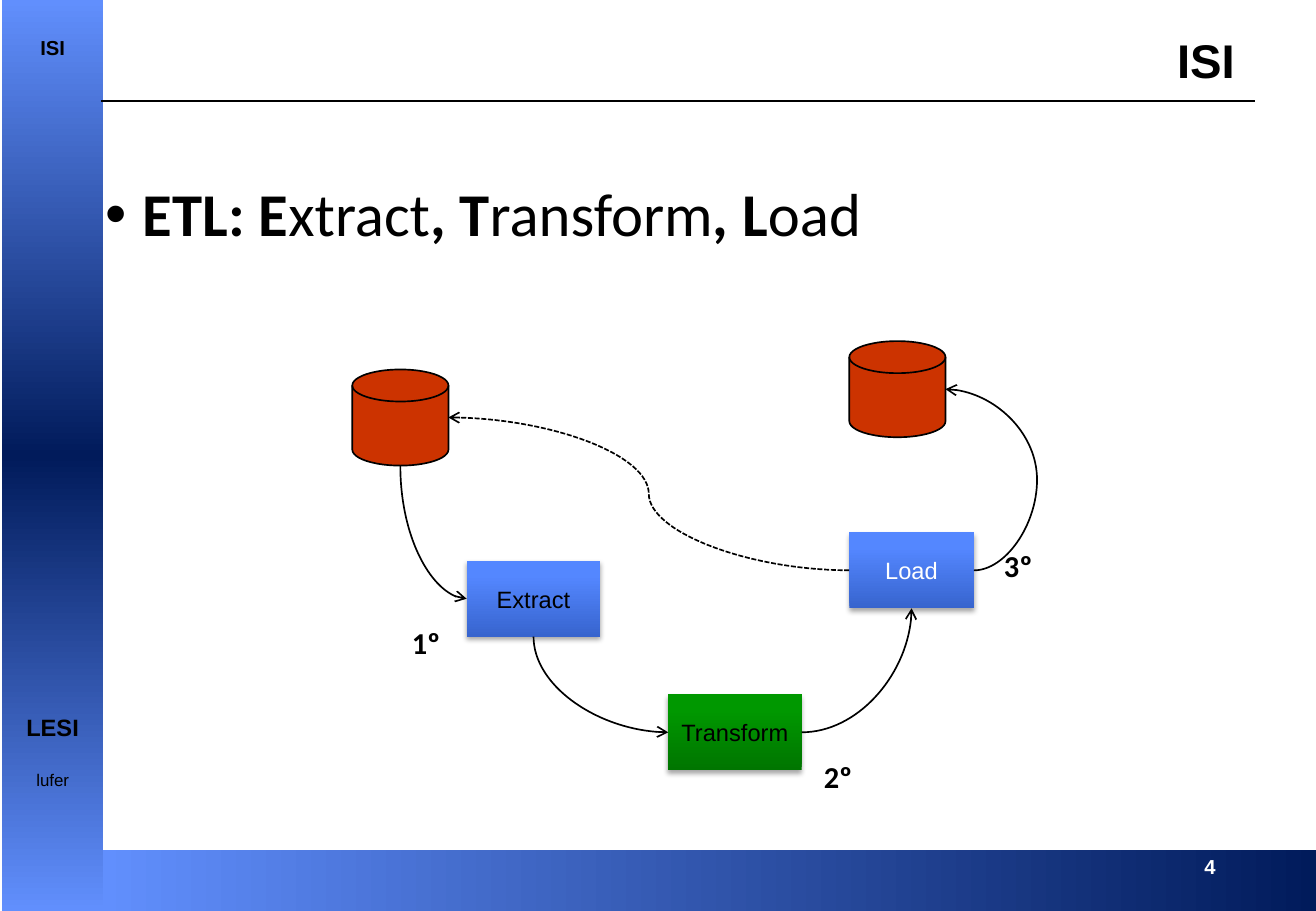
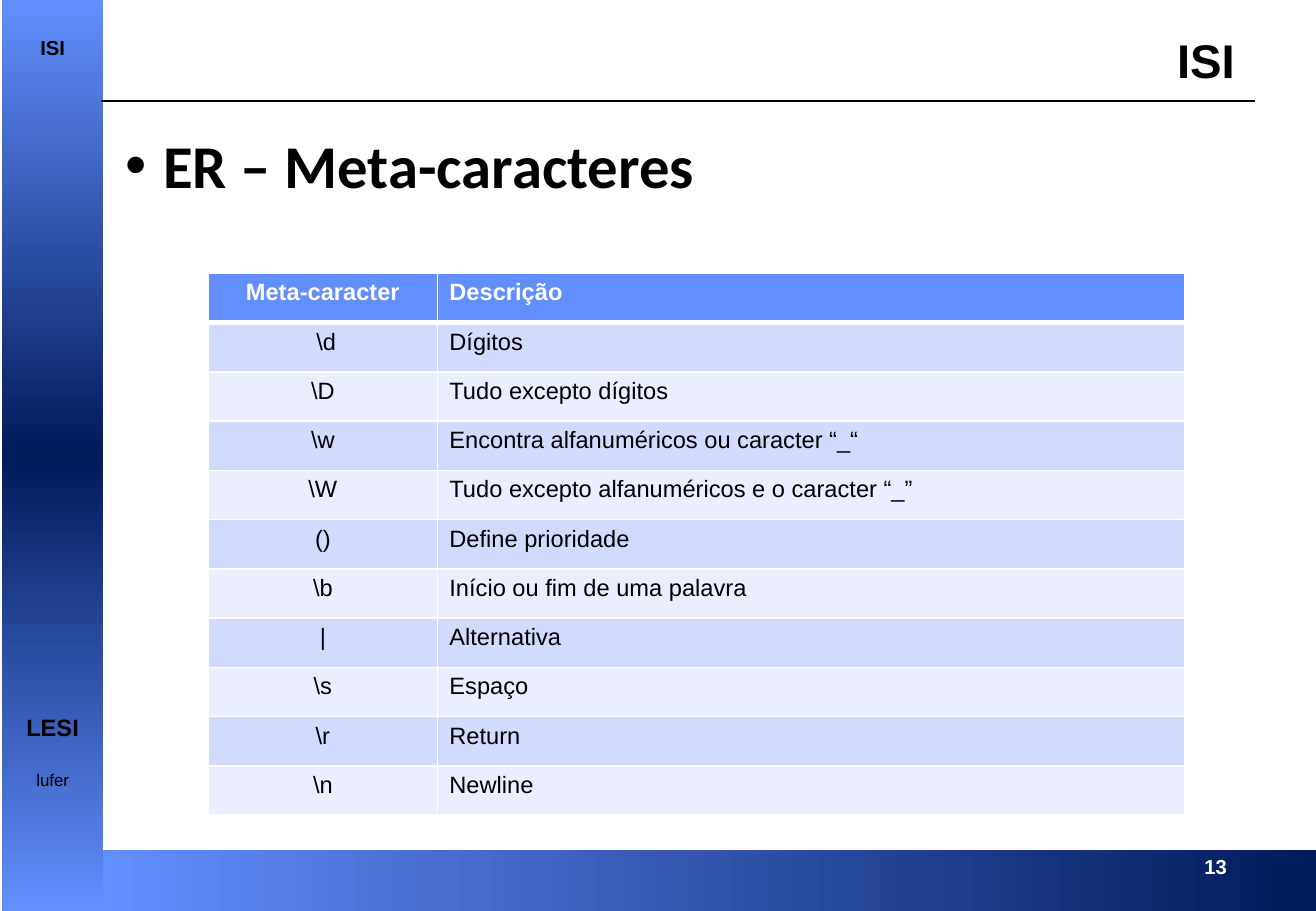
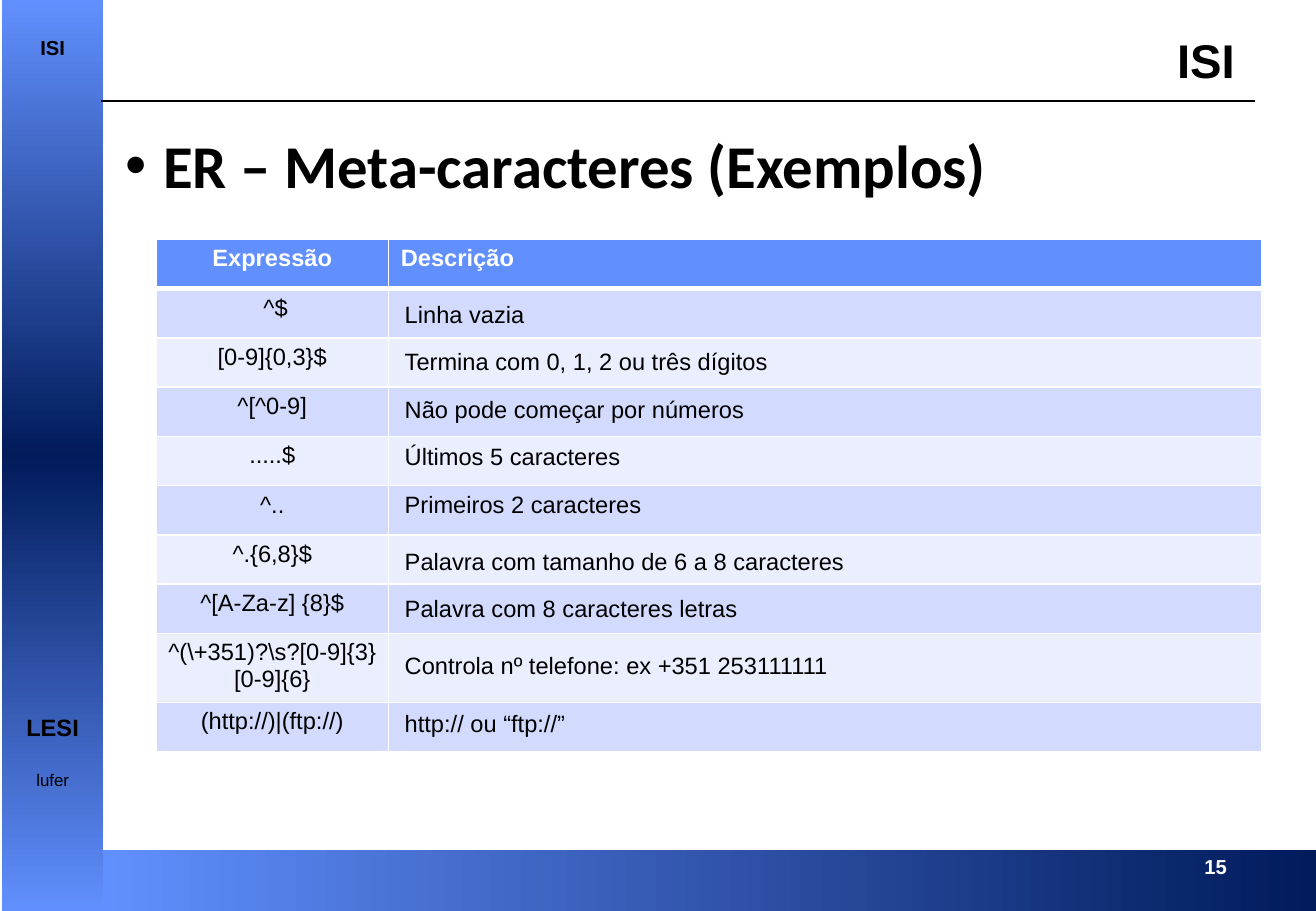
from pptx import Presentation
from pptx.dml.color import RGBColor
from pptx.enum.dml import MSO_LINE
from pptx.enum.shapes import MSO_CONNECTOR, MSO_SHAPE
from pptx.enum.text import MSO_ANCHOR, MSO_AUTO_SIZE, PP_ALIGN
from pptx.oxml import parse_xml
from pptx.oxml.ns import nsdecls, qn
from pptx.util import Inches, Pt

# Shared style: a square grid of twelve cells to the inch
COLUMNS, ROWS = 130, 90
BLACK, WHITE, RED = "000000", "FFFFFF", "CC3300"
SKY, NAVY = "618FFD", "011B5B"
BANDS = ["EAEEFF", "D2DBFE"]
BLUE_STOPS = [(0, "3764CE"), (80, "5487FF"), (100, "5688FF")]
GREEN_STOPS = [(0, "007500"), (80, "009800"), (100, "009900")]
BODY, HEADING = "Arial", "Calibri"


def cells(count):
    return Inches(count / 12)


def color(hexa):
    return RGBColor.from_string(hexa)


def drawing(tag, inner="", attributes=""):
    return parse_xml(f"<a:{tag} {nsdecls('a')} {attributes}>{inner}</a:{tag}>")


def write(para, text, size=14, font=BODY, hexa=BLACK, bold=False, align=None, before=None):
    span = para.add_run()
    span.text = text
    span.font.size, span.font.name, span.font.bold = Pt(size), font, bold
    span.font.color.rgb = color(hexa)
    if align is not None:
        para.alignment = align
    if before is not None:
        para.space_before = Pt(before)


def side_point(shape, side):
    """Middle of one side of a shape."""
    across, down = {"left": (0, .5), "right": (1, .5), "bottom": (.5, 1)}[side]
    return (round(shape.left + across * shape.width),
            round(shape.top + down * shape.height))


class Deck:
    def __init__(self):
        self.deck = Presentation()
        self.deck.slide_width, self.deck.slide_height = cells(COLUMNS), cells(ROWS)
        self.page = None

    def add_page(self, number, heading, left, top, width, height):
        self.page = self.deck.slides.add_slide(self.deck.slide_layouts[5])
        self.frame(number)
        self.heading(heading, left, top, width, height)

    def frame(self, number):
        # Footer band and page number
        band = self.shape(MSO_SHAPE.RECTANGLE, 10, 84, 120, 6)
        self.gradient(band, [(0, SKY), (100, NAVY)], 0)
        self.text(str(number), 117.8, 83.8, 5.6, 3.6, size=12, hexa=WHITE, bold=True)
        # Side band
        side = self.shape(MSO_SHAPE.RECTANGLE, .2, 0, 10, ROWS)
        self.gradient(side, [(0, SKY), (50, NAVY), (100, SKY)], 90)
        frame = side.text_frame
        frame.vertical_anchor = MSO_ANCHOR.TOP
        frame.margin_left = frame.margin_right = 0
        frame.margin_top = cells(3.5)
        labels = [("ISI", 12, True, 0), ("LESI", 14, True, 387), ("lufer", 10, False, 17)]
        for index, (label, size, bold, before) in enumerate(labels):
            para = frame.add_paragraph() if index else frame.paragraphs[0]
            write(para, label, size=size, bold=bold, before=before, align=PP_ALIGN.CENTER)
        # Course name over a rule
        rule = self.page.shapes.add_connector(
            MSO_CONNECTOR.STRAIGHT, cells(10), cells(10), cells(124), cells(10))
        self.outline(rule)
        self.text("ISI", 115.1, 2.5, 8.2, 6.8, size=28, bold=True)

    def heading(self, spans, left, top, width, height):
        title = self.page.shapes.title
        title.left, title.top = cells(left), cells(top)
        title.width, title.height = cells(width), cells(height)
        frame = title.text_frame
        frame.word_wrap, frame.auto_size = True, MSO_AUTO_SIZE.NONE
        frame.vertical_anchor = MSO_ANCHOR.TOP
        para = frame.paragraphs[0]
        para.line_spacing = .9
        for index, span in enumerate(spans):
            write(para, span, size=36, font=HEADING, bold=index % 2 == 0, align=PP_ALIGN.LEFT)
        properties = para._p.get_or_add_pPr()
        properties.set("marL", str(Inches(.31)))
        properties.set("indent", str(-Inches(.31)))
        properties.append(drawing("buFont", attributes='typeface="Arial"'))
        properties.append(drawing("buChar", attributes='char="•"'))

    def text(self, text, left, top, width, height, **style):
        box = self.page.shapes.add_textbox(cells(left), cells(top), cells(width), cells(height))
        box.text_frame.word_wrap = False
        box.text_frame.auto_size = MSO_AUTO_SIZE.SHAPE_TO_FIT_TEXT
        write(box.text_frame.paragraphs[0], text, **style)

    def shape(self, kind, left, top, width, height):
        shape = self.page.shapes.add_shape(
            kind, cells(left), cells(top), cells(width), cells(height))
        shape.shadow.inherit = False
        shape.line.fill.background()
        return shape

    def gradient(self, shape, stops, angle):
        shape.fill.background()
        properties = shape.element.spPr
        marks = "".join(f'<a:gs pos="{share * 1000}"><a:srgbClr val="{hexa}"/></a:gs>'
                        for share, hexa in stops)
        fill = drawing("gradFill", f'<a:gsLst>{marks}</a:gsLst>'
                       f'<a:lin ang="{angle * 60000}" scaled="0"/>', 'rotWithShape="1"')
        properties.replace(properties.find(qn("a:noFill")), fill)

    def disk(self, left, top):
        disk = self.shape(MSO_SHAPE.FLOWCHART_MAGNETIC_DISK, left, top, 9.5, 9.5)
        disk.fill.solid()
        disk.fill.fore_color.rgb = color(RED)
        disk.line.color.rgb, disk.line.width = color(BLACK), Pt(1)
        return disk

    def step(self, label, left, top, width, stops, hexa=BLACK):
        step = self.shape(MSO_SHAPE.FLOWCHART_PROCESS, left, top, width, 7.5)
        self.gradient(step, stops, 270)
        step.element.spPr.find(qn("a:effectLst")).append(drawing(
            "outerShdw", f'<a:srgbClr val="{BLACK}"><a:alpha val="35000"/></a:srgbClr>',
            f'blurRad="{Pt(3.1)}" dist="{Pt(1.8)}" dir="5400000" rotWithShape="0"'))
        step.text_frame.vertical_anchor = MSO_ANCHOR.MIDDLE
        step.text_frame.margin_left = step.text_frame.margin_right = 0
        write(step.text_frame.paragraphs[0], label, hexa=hexa, align=PP_ALIGN.CENTER)
        return step

    def outline(self, connector):
        connector.line.color.rgb, connector.line.width = color(BLACK), Pt(1)
        connector.element.spPr.append(drawing("effectLst"))

    def curve(self, source, source_side, target, target_side, bend=None, dashed=False):
        """Curved arrow; without a bend it is a quarter turn."""
        (x1, y1), (x2, y2) = side_point(source, source_side), side_point(target, target_side)
        downward = source_side == "bottom"
        if downward:  # ends before a turn of 270 degrees about the middle
            middle_x, middle_y = (x1 + x2) // 2, (y1 + y2) // 2
            half_x, half_y = (x2 - x1) // 2, (y2 - y1) // 2
            x1, y1 = middle_x + half_y, middle_y - half_x
            x2, y2 = middle_x - half_y, middle_y + half_x
        arrow = self.page.shapes.add_connector(MSO_CONNECTOR.CURVE, x1, y1, x2, y2)
        self.outline(arrow)
        if dashed:
            arrow.line.dash_style = MSO_LINE.SQUARE_DOT
        properties = arrow.element.spPr
        properties.find(qn("a:ln")).append(drawing("tailEnd", attributes='type="arrow"'))
        geometry = properties.find(qn("a:prstGeom"))
        if bend is None:
            geometry.set("prst", "curvedConnector2")
        else:
            geometry.find(qn("a:avLst")).append(drawing(
                "gd", attributes=f'name="adj1" fmla="val {round(bend * 100000)}"'))
        if downward:
            properties.find(qn("a:xfrm")).set("rot", str(270 * 60000))

    def table(self, rows, left, top, widths, row_height):
        table = self.page.shapes.add_table(
            len(rows), len(widths), cells(left), cells(top),
            cells(sum(widths)), cells(row_height * len(rows))).table
        table.horz_banding = False
        for column, width in zip(table.columns, widths):
            column.width = cells(width)
        for index, row in enumerate(rows):
            table.rows[index].height = cells(row_height)
            for place, label in enumerate(row):
                self.cell(table.cell(index, place), label, index, place)

    def cell(self, cell, label, index, place):
        header = index == 0
        properties = cell._tc.get_or_add_tcPr()
        for side in "LRTB":
            thick = header and side == "B" or index == 1 and side == "T"
            properties.append(drawing(
                f"ln{side}", f'<a:solidFill><a:srgbClr val="{WHITE}"/></a:solidFill>',
                f'w="{Pt(3 if thick else 1)}"'))
        cell.fill.solid()
        cell.fill.fore_color.rgb = color(SKY if header else BANDS[index % 2])
        if label:
            write(cell.text_frame.paragraphs[0], label, bold=header,
                  hexa=WHITE if header else BLACK,
                  align=PP_ALIGN.LEFT if place else PP_ALIGN.CENTER)


deck = Deck()

# ETL flow
deck.add_page(4, ["ETL: E", "xtract", ", T", "ransform", ", L", "oad"], 9.2, 17.6, 117, 59.4)
origin = deck.disk(34.8, 36.5)
warehouse = deck.disk(83.9, 33.7)
extract = deck.step("Extract", 46.1, 55.4, 13.2, BLUE_STOPS)
transform = deck.step("Transform", 66, 68.6, 13.2, GREEN_STOPS)
load = deck.step("Load", 83.9, 52.6, 12.3, BLUE_STOPS, hexa=WHITE)
deck.curve(origin, "bottom", extract, "left")
deck.curve(extract, "bottom", transform, "left")
deck.curve(transform, "right", load, "bottom")
deck.curve(load, "right", warehouse, "right", bend=-2.23)
deck.curve(load, "left", origin, "right", bend=.5, dashed=True)
for order, left, top in [("1º", 39.5, 61.1), ("2º", 80.2, 74.3), ("3º", 98, 53.5)]:
    deck.text(order, left, top, 5.3, 4.8, size=18, font=HEADING, bold=True)

# Metacharacters
HEADING_AREA = (11.2, 12.8, 117.1, 66.1)
deck.add_page(13, ["ER – Meta-caracteres"], *HEADING_AREA)
deck.table([
    ("Meta-caracter", "Descrição"),
    (" \\d", "Dígitos"),
    ("\\D", "Tudo excepto dígitos"),
    ("\\w", "Encontra alfanuméricos ou caracter “_“"),
    ("\\W", "Tudo excepto alfanuméricos e o caracter “_”"),
    ("()", "Define prioridade"),
    ("\\b", "Início ou fim de uma palavra"),
    ("|", "Alternativa"),
    ("\\s", "Espaço"),
    ("\\r", "Return"),
    ("\\n", "Newline"),
], 20.6, 27, [22.6, 73.8], 4.87)

# Examples, with the descriptions laid over the second column
deck.add_page(15, ["ER – Meta-caracteres (Exemplos)"], *HEADING_AREA)
expressions = [" ^$", "[0-9]{0,3}$", "^[^0-9]", ".....$", "^..", "^.{6,8}$",
               "^[A-Za-z] {8}$", "^(\\+351)?\\s?[0-9]{3}[0-9]{6}", "(http://)|(ftp://)"]
deck.table([("Expressão", "Descrição")] + [(expression, "") for expression in expressions],
           15.4, 23.65, [23, 86.2], 4.87)
for description, top, width in [
    ("Linha vazia", 29, 14.3),
    ("Termina com 0, 1, 2 ou três dígitos", 33.7, 38.4),
    ("Não pode começar por números", 38.4, 36.1),
    ("Últimos 5 caracteres", 43.1, 23.9),
    ("Primeiros 2 caracteres", 47.8, 25.9),
    ("Palavra com tamanho de 6 a 8 caracteres", 53.4, 46),
    ("Palavra com 8 caracteres letras", 58.1, 35.4),
    ("Controla nº telefone: ex +351 253111111", 63.7, 44.4),
    ("http:// ou “ftp://”", 69.4, 18.4),
]:
    deck.text(description, 38.8, top, width, 4.1)

deck.deck.save("out.pptx")
